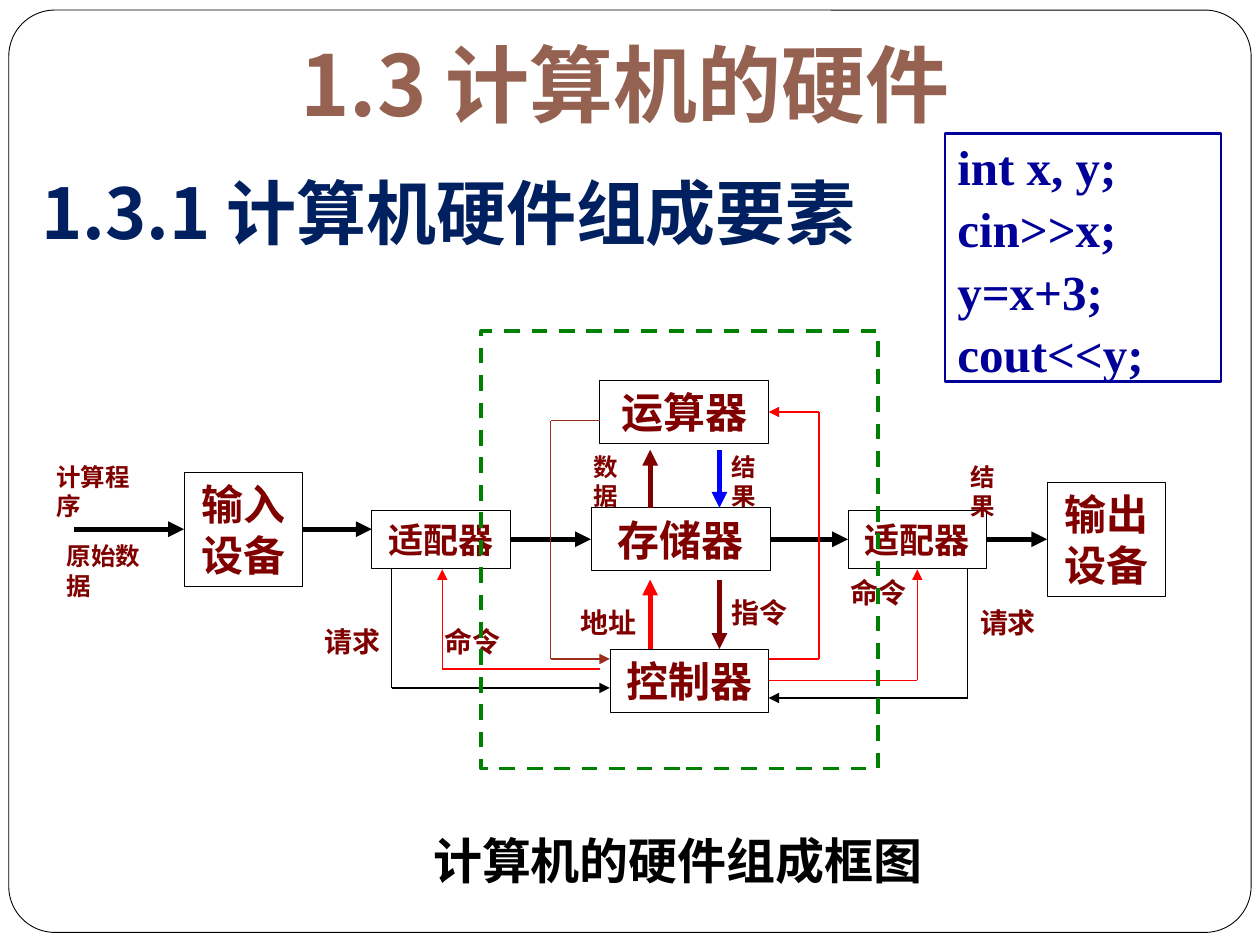
from itertools import pairwise

from lxml.etree import SubElement as Sub
from pptx import Presentation
from pptx.dml.color import RGBColor
from pptx.enum.dml import MSO_LINE
from pptx.enum.shapes import MSO_CONNECTOR as Conn, MSO_SHAPE as Shape
from pptx.enum.text import MSO_ANCHOR as Anchor, PP_ALIGN as Align
from pptx.oxml.ns import qn
from pptx.util import Pt

PX = 9144
LEFT, RIGHT = 1, 3
MAROON, RED, BLACK = "800000", "FF0000", "000000"
CJK = "Noto Sans CJK SC"


def color(code):
    return RGBColor.from_string(code)


def scale(*sizes):
    return [size * PX for size in sizes]


def write(shape, text, size=24, face="Lato", tint=MAROON, align=Align.CENTER,
          wrap=True, lead=None):
    frame = shape.text_frame
    frame.word_wrap = wrap
    frame.vertical_anchor = Anchor.MIDDLE
    frame.margin_left = frame.margin_right = 10 * PX
    frame.margin_top = frame.margin_bottom = 5 * PX
    frame.text = text
    for para in frame.paragraphs:
        para.alignment = align
        para.line_spacing = lead
        for run in para.runs:
            font = run.font
            font.name, font.size, font.bold = face, Pt(size), True
            font.color.rgb = color(tint)
            Sub(font._element, qn("a:ea"), typeface=face)


def label(slide, text, box, **style):
    shape = slide.shapes.add_textbox(*scale(*box))
    write(shape, text, **{"align": Align.LEFT, **style})


def panel(slide, box, tint=BLACK, width=0.25, kind=Shape.RECTANGLE):
    shape = slide.shapes.add_shape(kind, *scale(*box))
    shape.shadow.inherit = False
    shape.fill.background()
    shape.line.color.rgb = color(tint)
    shape.line.width = Pt(width)
    return shape


def route(slide, points, tint=BLACK, width=0.75, start=None, stop=None):
    for a, b in pairwise(points):
        line = slide.shapes.add_connector(Conn.STRAIGHT, *scale(*a, *b))
        line.line.color.rgb = color(tint)
        line.line.width = Pt(width)
        Sub(line._element.spPr, qn("a:effectLst"))
        if start and a == points[0]:
            line.begin_connect(*start)
        if b == points[-1]:
            Sub(line.line._get_or_add_ln(), qn("a:tailEnd"), type="triangle")
            if stop:
                line.end_connect(*stop)


def border(slide, box):
    shape = panel(slide, box, width=0.5, kind=Shape.ROUNDED_RECTANGLE)
    shape.adjustments[0] = 0.05


def heading(slide, box):
    x, y, w, h = box
    title = slide.shapes.title
    title.left, title.top, title.width, title.height = scale(x + 94, y, 758, 86)
    write(title, "1.3 计算机的硬件", size=48, face=CJK, tint="956251")
    label(slide, "1.3.1 计算机硬件组成要素", (x, y + 114, w, h - 114),
          size=40, face=CJK, tint="002060")


def program(slide, box):
    shape = panel(slide, box, "000099", 1.5)
    write(shape, "int x, y;\ncin>>x;\ny=x+3;\ncout<<y;", size=28,
          face="Times New Roman", tint="000099", align=Align.LEFT, lead=1.06)


def diagram(slide, box):
    x, y, w, h = box

    def unit(text, left, top, wide, high, size=24):
        shape = panel(slide, (x + left, y + top, wide, high))
        write(shape, text, size=size)
        return shape

    def flow(*points, **style):
        route(slide, [(x + a, y + b) for a, b in points], **style)

    source = unit("输入设备", 116, 115, 94, 90)
    sink = unit("输出设备", 801, 123, 94, 90)
    store = unit("存储器", 439, 143, 142, 50)
    maths = unit("运算器", 446, 42, 134, 50)
    control = unit("控制器", 454, 255, 126, 50)
    near, far = [unit("适配器", left, 145, 110, 46, 20) for left in (265, 643)]

    flow((29, 160), (116, 160), width=3, stop=(source, LEFT))
    flow((210, 160), (265, 160), width=3, start=(source, RIGHT))
    chain = [(near, 375, store, 439), (store, 581, far, 643), (far, 753, sink, 801)]
    for one, a, two, b in chain:
        flow((a, 168), (b, 168), width=3, start=(one, RIGHT), stop=(two, LEFT))
    for left, top, end, tint in [(486, 255, 200, RED), (541, 200, 255, MAROON),
                                 (486, 143, 97, MAROON), (541, 97, 143, "0000FF")]:
        flow((left, top), (left, end), tint=tint, width=3)

    flow((446, 271), (321, 271), (321, 192), tint=RED)
    flow((281, 192), (281, 286), (454, 286))
    flow((580, 263), (620, 263), (620, 67), (580, 67), tint=RED, stop=(maths, RIGHT))
    flow((446, 74), (407, 74), (407, 263), (454, 263), tint="9B2D1F")
    flow((580, 280), (698, 280), (698, 192), tint=RED, start=(control, RIGHT))
    flow((738, 192), (738, 294), (580, 294))

    for text, left, top, size, face in [
        ("计算程序", 5, 113, 14, "Lato"), ("原始数据", 13, 176, 14, "Lato"),
        ("数据", 431, 105, 14, "Lato"), ("结果", 541, 105, 14, "Lato"),
        ("结果", 730, 113, 14, "Lato"), ("指令", 541, 208, 16, "Lato"),
        ("地址", 421, 216, 16, "Arial"), ("命令", 635, 192, 16, "Arial"),
        ("命令", 313, 231, 16, "Arial"), ("请求", 218, 231, 16, "Arial"),
        ("请求", 738, 216, 16, "Arial"),
    ]:
        wide = 20 + len(text) * size * 100 // 72
        label(slide, text, (x + left, y + top, wide, 20 + size), size=size,
              face=face, wrap=False)

    core = panel(slide, (x + 352, y + 3, 315, 347), "008000", 2.25)
    core.line.dash_style = MSO_LINE.DASH
    label(slide, "计算机的硬件组成框图", (x + 296, y + h - 57, 424, 57),
          size=28, tint=BLACK, align=Align.CENTER)


def main():
    deck = Presentation()
    deck.slide_width, deck.slide_height = scale(1000, 750)
    slide = deck.slides.add_slide(deck.slide_layouts[5])
    border(slide, (7, 8, 986, 732))
    heading(slide, (23, 23, 733, 176))
    diagram(slide, (30, 260, 895, 451))
    program(slide, (750, 106, 219, 197))
    deck.save("out.pptx")


if __name__ == "__main__":
    main()
